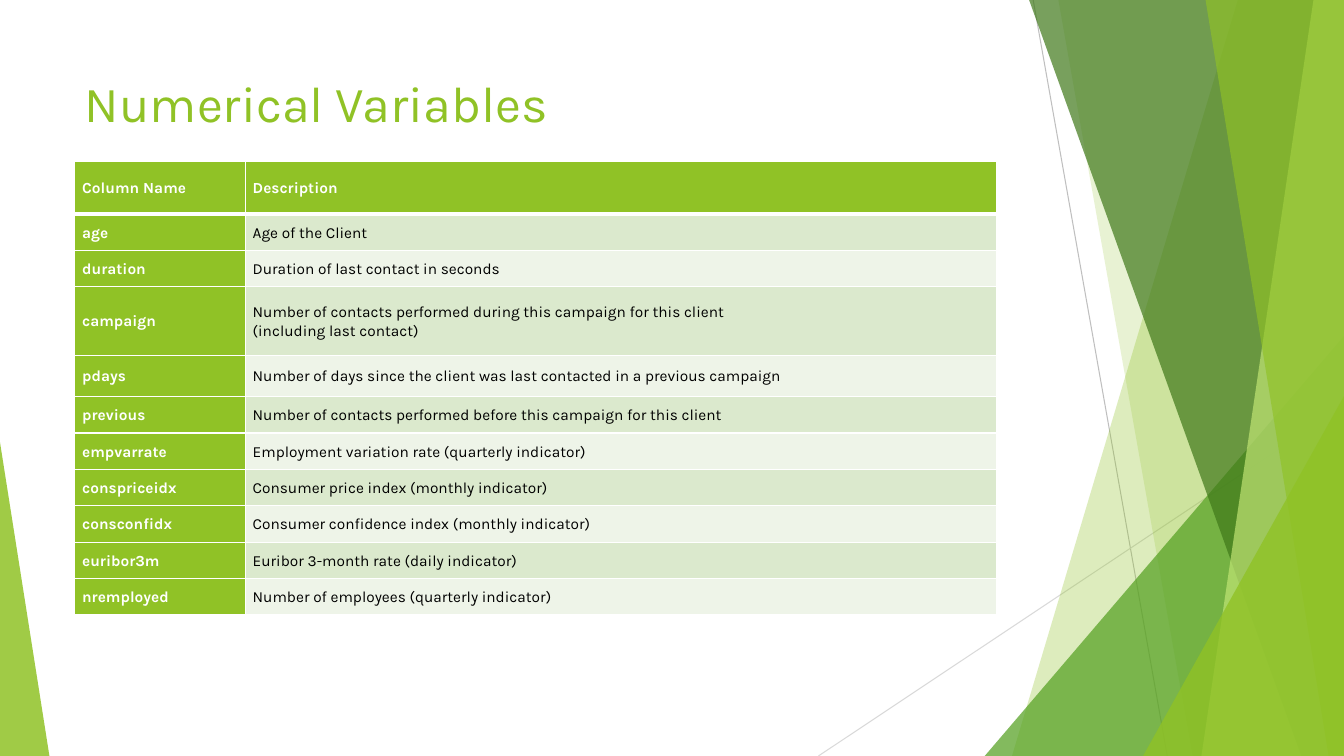
from dataclasses import dataclass
from lxml.etree import SubElement
from pptx import Presentation
from pptx.dml.color import RGBColor
from pptx.enum.shapes import MSO_CONNECTOR, MSO_SHAPE
from pptx.enum.text import MSO_ANCHOR, PP_ALIGN
from pptx.oxml.ns import qn
from pptx.util import Pt

FONT = "Karla"
GREEN = "90C226"
WHITE = "FFFFFF"
BANDS = ["DBE9CD", "EEF4E8"]

HEADINGS = ("Column Name", "Description")
VARIABLES = [
    ("age", "Age of the Client"),
    ("duration", "Duration of last contact in seconds"),
    ("campaign", "Number of contacts performed during this campaign for this client\n"
                 "(including last contact)"),
    ("pdays", "Number of days since the client was last contacted in a previous campaign"),
    ("previous", "Number of contacts performed before this campaign for this client"),
    ("empvarrate", "Employment variation rate (quarterly indicator)"),
    ("conspriceidx", "Consumer price index (monthly indicator)"),
    ("consconfidx", "Consumer confidence index (monthly indicator)"),
    ("euribor3m", "Euribor 3-month rate (daily indicator)"),
    ("nremployed", "Number of employees (quarterly indicator)"),
]
HEADER_HEIGHT = 37.4
ROW_HEIGHT = 26
TALL_ROWS = {"campaign": 49, "pdays": 29.5}
NAME_SHARE = 0.185


@dataclass
class Box:
    left: float
    top: float
    width: float
    height: float

    def lengths(self):
        return Pt(self.left), Pt(self.top), Pt(self.width), Pt(self.height)


def paint(color_format, hex_color):
    color_format.rgb = RGBColor.from_string(hex_color)


def fill_glass(shape, hex_color, opacity):
    shape.shadow.inherit = False
    shape.line.fill.background()
    shape.fill.solid()
    paint(shape.fill.fore_color, hex_color)
    color = shape.element.spPr.find(qn("a:solidFill"))[0]
    SubElement(color, qn("a:alpha"), val=str(opacity * 1000))


def add_hairline(slide, box, start, end, hex_color):
    (x1, y1), (x2, y2) = start, end
    hairline = slide.shapes.add_connector(
        MSO_CONNECTOR.STRAIGHT, Pt(box.left + x1), Pt(box.top + y1),
        Pt(box.left + x2), Pt(box.top + y2))
    hairline.line.width = Pt(0.75)
    paint(hairline.line.color, hex_color)
    SubElement(hairline.element.spPr, qn("a:effectLst"))


def add_ribbon(slide, box, top_x, bottom_x, hex_color, opacity):
    right, bottom = box.left + box.width, box.top + box.height
    outline = slide.shapes.build_freeform(Pt(box.left + top_x), Pt(box.top))
    outline.add_line_segments([
        (Pt(right), Pt(box.top)), (Pt(right), Pt(bottom)),
        (Pt(box.left + bottom_x), Pt(bottom))])
    fill_glass(outline.convert_to_shape(), hex_color, opacity)


def add_wedge(slide, box, apex, hex_color, opacity):
    wedge = slide.shapes.add_shape(MSO_SHAPE.ISOSCELES_TRIANGLE, *box.lengths())
    wedge.adjustments[0] = apex
    fill_glass(wedge, hex_color, opacity)


def add_corner_wedge(slide, box, x, y, hex_color, opacity):
    corner = Box(box.left + x, box.top + y, box.width - x, box.height - y)
    add_wedge(slide, corner, 1, hex_color, opacity)


def add_facets(slide, box):
    add_hairline(slide, box, (158, 0), (253.8, box.height), "BFBFBF")
    add_hairline(slide, box, (box.width, 290), (4.6, box.height), "D9D9D9")
    add_ribbon(slide, box, 304.2, 142.9, GREEN, 30)
    add_ribbon(slide, box, 176, 271.8, GREEN, 20)
    add_corner_wedge(slide, box, 123.4, 240, "54A021", 72)
    add_ribbon(slide, box, 155.1, 349.5, "3F7819", 70)
    add_ribbon(slide, box, 358.2, 278.2, "C0E474", 70)
    add_ribbon(slide, box, 281.1, 369, GREEN, 65)
    add_corner_wedge(slide, box, 236.5, 283, GREEN, 80)


def add_title(slide, box):
    title = slide.shapes.title
    title.left, title.top, title.width, title.height = box.lengths()
    frame = title.text_frame
    frame.text = "Numerical Variables"
    frame.vertical_anchor = MSO_ANCHOR.TOP
    heading = frame.paragraphs[0]
    heading.alignment = PP_ALIGN.LEFT
    heading.font.name = FONT
    heading.font.size = Pt(36)
    paint(heading.font.color, GREEN)
    slide.shapes.element.append(title.element)


def set_borders(cell, widths):
    properties = cell._tc.get_or_add_tcPr()
    for position, (side, width) in enumerate(widths.items()):
        border = properties.makeelement(qn(f"a:ln{side}"), {"w": str(Pt(width))})
        fill = SubElement(border, qn("a:solidFill"))
        SubElement(fill, qn("a:srgbClr"), val=WHITE)
        properties.insert(position, border)


def fill_cell(cell, text, background, color, bold, top, bottom):
    cell.text = text
    cell.vertical_anchor = MSO_ANCHOR.MIDDLE
    cell.margin_left = cell.margin_right = Pt(5.2)
    cell.margin_top = cell.margin_bottom = 0
    cell.fill.solid()
    paint(cell.fill.fore_color, background)
    for paragraph in cell.text_frame.paragraphs:
        paragraph.alignment = PP_ALIGN.JUSTIFY
        paragraph.line_spacing = 1.07
        paragraph.font.name = FONT
        paragraph.font.size = Pt(11)
        paragraph.font.bold = bold
        paint(paragraph.font.color, color)
    set_borders(cell, {"L": 1, "R": 1, "T": top, "B": bottom})


def add_variables(slide, box):
    rows = [HEADINGS] + VARIABLES
    table = slide.shapes.add_table(len(rows), 2, *box.lengths()).table
    table.columns[0].width = Pt(box.width * NAME_SHARE)
    table.columns[1].width = Pt(box.width * (1 - NAME_SHARE))
    for index, (name, description) in enumerate(rows):
        header = index == 0
        height = HEADER_HEIGHT if header else TALL_ROWS.get(name, ROW_HEIGHT)
        table.rows[index].height = Pt(height)
        top, bottom = 3 if index == 1 else 1, 3 if header else 1
        band = GREEN if header else BANDS[(index - 1) % 2]
        ink = WHITE if header else "000000"
        fill_cell(table.cell(index, 0), name, GREEN, WHITE, True, top, bottom)
        fill_cell(table.cell(index, 1), description, band, ink, header, top, bottom)


deck = Presentation()
deck.slide_width, deck.slide_height = Pt(960), Pt(540)
slide = deck.slides.add_slide(deck.slide_layouts[5])
add_facets(slide, Box(580, 0, 380, 540))
add_wedge(slide, Box(0, 316, 35.3, 224), 0, GREEN, 85)
add_title(slide, Box(53.5, 48.2, 676.8, 103.7))
add_variables(slide, Box(53.5, 115.5, 658.5, 324))
deck.save("out.pptx")
